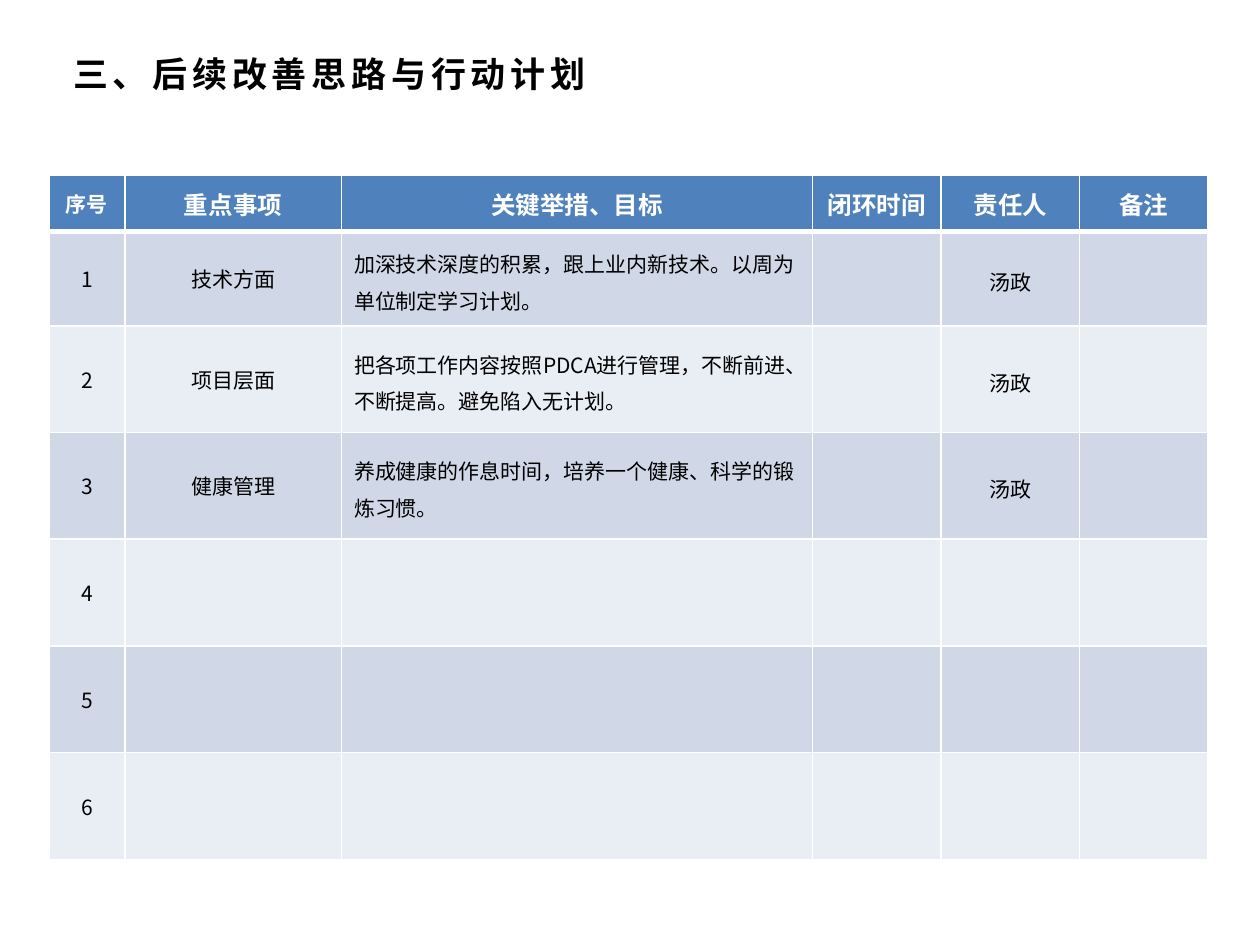
from lxml import etree
from pptx import Presentation
from pptx import util as u
from pptx.dml.color import RGBColor
from pptx.enum import text as t
from pptx.oxml.ns import qn

FONT = "Noto Sans CJK SC"
COLORS = {"head": "4F81BD", "odd": "D0D8E8", "even": "E9EDF4",
          "white": "FFFFFF", "black": "000000"}
COLS = [0.6, 1.72, 3.74, 1.02, 1.1, 1.02]
ROWS = [0.45, 0.75] + [0.85] * 5
HEADS = ["序号", "重点事项", "关键举措、目标", "闭环时间", "责任人", "备注"]
OWNER = "汤政"
PLANS = [
    ("技术方面", "加深技术深度的积累，跟上业内新技术。以周为单位制定学习计划。"),
    ("项目层面", "把各项工作内容按照PDCA进行管理，不断前进、不断提高。避免陷入无计划。"),
    ("健康管理", "养成健康的作息时间，培养一个健康、科学的锻炼习惯。"),
]
COUNT = 6


def rgb(name):
    return RGBColor.from_string(COLORS[name])


def write(frame, words, size=12, color="black", bold=False,
          align=t.PP_ALIGN.CENTER, lead=None, space=None):
    para = frame.paragraphs[0]
    para.alignment = align
    if lead:
        para.line_spacing = lead
    run = para.add_run()
    run.text = words
    font = run.font
    font.size, font.bold, font.name = u.Pt(size), bold, FONT
    font.color.rgb = rgb(color)
    props = run._r.get_or_add_rPr()
    etree.SubElement(props, qn("a:ea")).set("typeface", FONT)
    if space:
        props.set("spc", str(round(space * 100)))


def border(cell, low=1):
    props = cell._tc.get_or_add_tcPr()
    for side, width in (("L", 1), ("R", 1), ("T", 1), ("B", low)):
        line = etree.SubElement(props, qn("a:ln" + side), w=str(u.Pt(width)))
        fill = etree.SubElement(line, qn("a:solidFill"))
        etree.SubElement(fill, qn("a:srgbClr"), val=COLORS["white"])


def style(cell, color, low=1):
    border(cell, low)
    cell.fill.solid()
    cell.fill.fore_color.rgb = rgb(color)
    cell.vertical_anchor = t.MSO_ANCHOR.MIDDLE


def add_title(slide, words, left, top, width, height):
    title = slide.shapes.title
    title.left, title.top = u.Inches(left), u.Inches(top)
    title.width, title.height = u.Inches(width), u.Inches(height)
    frame = title.text_frame
    frame.word_wrap = True
    frame.auto_size = t.MSO_AUTO_SIZE.NONE
    frame.vertical_anchor = t.MSO_ANCHOR.MIDDLE
    write(frame, words, size=20, bold=True, align=t.PP_ALIGN.LEFT, space=2.7)


def add_plan(slide, left, top, width, height):
    table = slide.shapes.add_table(
        len(ROWS), len(COLS), u.Inches(left), u.Inches(top),
        u.Inches(width), u.Inches(height)).table
    # Columns and rows share the box in proportion
    for col, part in zip(table.columns, COLS):
        col.width = u.Inches(width * part / sum(COLS))
    for row, part in zip(table.rows, ROWS):
        row.height = u.Inches(height * part / sum(ROWS))

    # Header row
    for i, head in enumerate(HEADS):
        cell = table.cell(0, i)
        style(cell, "head", low=3)
        write(cell.text_frame, head, size=14 if i else 12,
              color="white", bold=True)

    # Numbered rows, banded
    for n in range(1, COUNT + 1):
        cells = [table.cell(n, i) for i in range(len(COLS))]
        for cell in cells:
            style(cell, "odd" if n % 2 else "even")
            if n == 1:
                top_line = cell._tc.tcPr.find(qn("a:lnT"))
                top_line.set("w", str(u.Pt(3)))
        write(cells[0].text_frame, str(n))
        if n <= len(PLANS):
            topic, goal = PLANS[n - 1]
            write(cells[1].text_frame, topic)
            write(cells[2].text_frame, goal, align=t.PP_ALIGN.LEFT, lead=1.2)
            write(cells[4].text_frame, OWNER, lead=1.2)


deck = Presentation()
deck.slide_width, deck.slide_height = u.Inches(10), u.Inches(7.5)
slide = deck.slides.add_slide(deck.slide_layouts[5])
add_title(slide, "三、后续改善思路与行动计划", 0.48, 0.36, 6.8, 0.44)
add_plan(slide, 0.39, 1.39, 9.2, 5.43)
deck.save("out.pptx")
